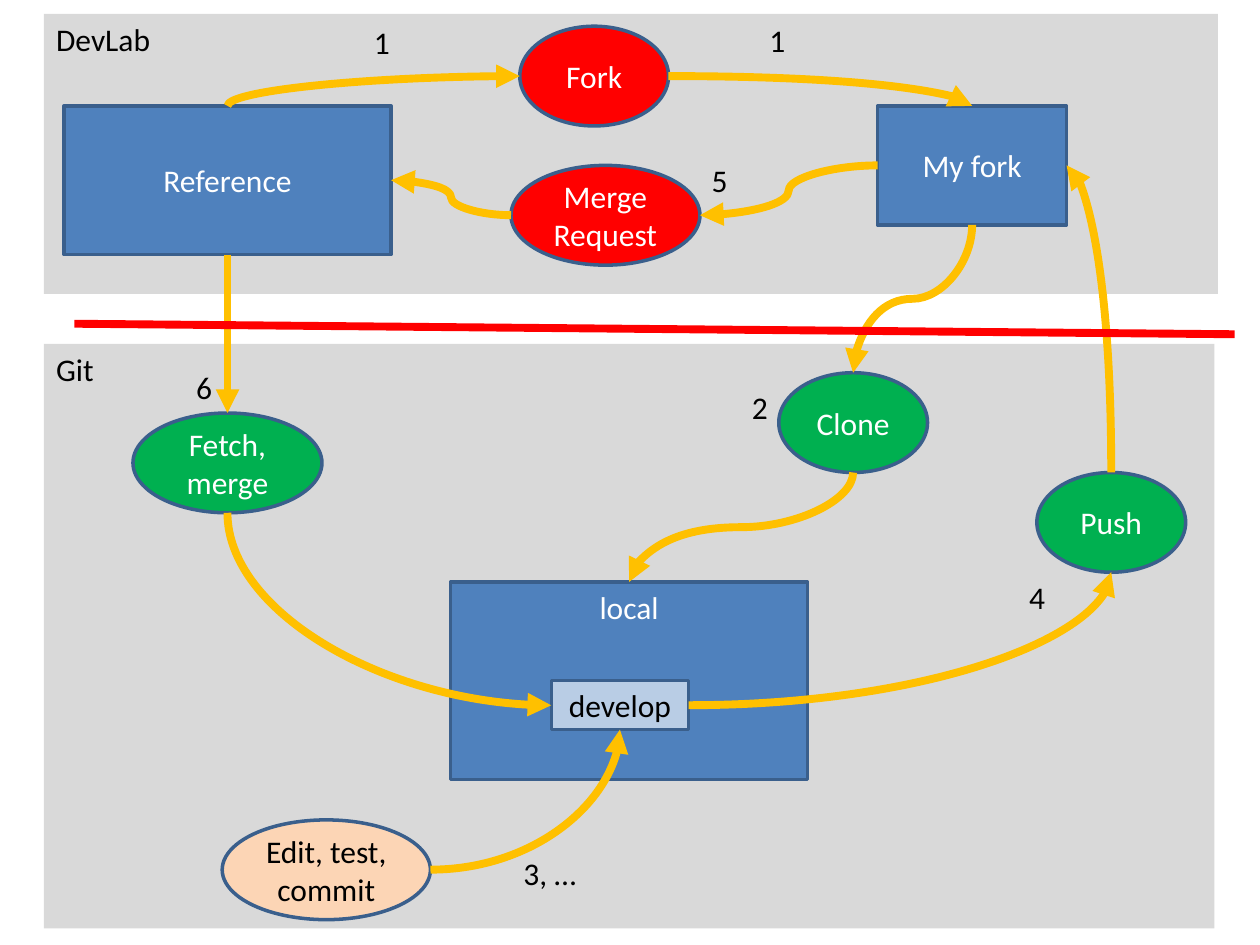
from lxml import etree
from pptx import Presentation
from pptx import util as u
from pptx.dml import color
from pptx.enum import shapes, text
from pptx.oxml import ns

RECT = shapes.MSO_SHAPE.RECTANGLE
OVAL = shapes.MSO_SHAPE.OVAL
MIDDLE, TOP = text.MSO_ANCHOR.MIDDLE, text.MSO_ANCHOR.TOP
CENTER, LEFT = text.PP_ALIGN.CENTER, text.PP_ALIGN.LEFT
BLUE, RED, GREEN = "4F81BD", "FF0000", "00B050"
PALE, PEACH, GRAY = "B9CDE5", "FCD5B5", "D9D9D9"
OUTLINE, ARROW = "3A5F8C", "FFC000"
BLACK, WHITE = "000000", "FFFFFF"
SIDES = {"top": (0.5, 0), "left": (0, 0.5), "bottom": (0.5, 1), "right": (1, 0.5)}
SITES = {"top": 0, "left": 1, "bottom": 2, "right": 3}


def paint(target, value):
    if hasattr(target, "solid"):
        target.solid()
        target = target.fore_color
    target.rgb = color.RGBColor.from_string(value)


def write(shape, words, ink, align, anchor):
    frame = shape.text_frame
    frame.text = words
    frame.vertical_anchor = anchor
    para = frame.paragraphs[0]
    para.alignment = align
    span = para.runs[0]
    span.font.size = u.Pt(18)
    span.font.name = "Calibri"
    paint(span.font.color, ink)


def add_block(page, kind, box, words, fill, ink=WHITE, align=CENTER, anchor=MIDDLE, outline=OUTLINE):
    shape = page.shapes.add_shape(kind, *[u.Pt(length) for length in box])
    shape.shadow.inherit = False
    paint(shape.fill, fill)
    if outline:
        paint(shape.line.color, outline)
        shape.line.width = u.Pt(2)
    else:
        shape.line.fill.background()
    write(shape, words, ink, align, anchor)
    return shape


def add_region(page, box, title, nodes, labels):
    left, top = box[:2]
    add_block(page, RECT, box, title, GRAY, BLACK, LEFT, TOP, None)
    placed = {}
    for words, kind, x, y, width, height, fill, ink, anchor in nodes:
        node_box = (left + x, top + y, width, height)
        placed[words] = add_block(page, kind, node_box, words, fill, ink, anchor=anchor)
    for words, x, y, width in labels:
        label = page.shapes.add_textbox(u.Pt(left + x), u.Pt(top + y), u.Pt(width), u.Pt(29))
        label.text_frame.word_wrap = False
        write(label, words, BLACK, LEFT, TOP)
    return placed


def hosting_region(page, box):
    nodes = [
        ("Reference", RECT, 11.5, 52.5, 187, 85, BLUE, WHITE, MIDDLE),
        ("My fork", RECT, 476.5, 52.5, 108, 68, BLUE, WHITE, MIDDLE),
        ("Fork", OVAL, 272, 7, 85, 57, RED, WHITE, MIDDLE),
        ("Merge Request", OVAL, 267, 86.5, 108, 57, RED, WHITE, MIDDLE),
    ]
    labels = [("1", 181.5, 1.5, 24), ("1", 407.5, 0.7, 24), ("5", 374.5, 80.5, 24)]
    return add_region(page, box, "DevLab", nodes, labels)


def git_region(page, box):
    nodes = [
        ("local", RECT, 232.5, 136, 204, 113, BLUE, WHITE, TOP),
        ("develop", RECT, 290, 192.5, 78.5, 28, PALE, BLACK, MIDDLE),
        ("Clone", OVAL, 420, 16.5, 85, 57, GREEN, WHITE, MIDDLE),
        ("Fetch, merge", OVAL, 51, 39.5, 108, 57, GREEN, WHITE, MIDDLE),
        ("Push", OVAL, 567.5, 73.5, 85, 57, GREEN, WHITE, MIDDLE),
        ("Edit, test, commit", OVAL, 102, 272, 119, 57, PEACH, BLACK, MIDDLE),
    ]
    labels = [("2", 397.5, 21.5, 24), ("4", 556, 130.5, 24),
              ("6", 80, 10, 24), ("3, …", 267, 288, 46)]
    return add_region(page, box, "Git", nodes, labels)


def style_line(line, value):
    paint(line.line.color, value)
    line.line.width = u.Pt(4.5)
    etree.SubElement(line._element.spPr, ns.qn("a:effectLst"))


def side_point(shape, side):
    across, down = SIDES[side]
    return shape.left + across * shape.width, shape.top + down * shape.height


def site(shape, side):
    return SITES[side] * (2 if shape.auto_shape_type == OVAL else 1)


def add_link(page, source, source_side, target, target_side):
    x1, y1 = side_point(source, source_side)
    x2, y2 = side_point(target, target_side)
    dx, dy = x2 - x1, y2 - y1
    starts_upright = source_side in ("top", "bottom")
    ends_upright = target_side in ("top", "bottom")
    turn = 0
    if starts_upright:
        turn = 90 if dy > 0 else 270
        dx, dy = abs(dy), -dx if dy > 0 else dx
    middle_x, middle_y = (x1 + x2) / 2, (y1 + y2) / 2
    ends = (middle_x - dx / 2, middle_y - dy / 2, middle_x + dx / 2, middle_y + dy / 2)
    link = page.shapes.add_connector(shapes.MSO_CONNECTOR.CURVE, *[round(end) for end in ends])
    link._connect_begin_to(source, site(source, source_side))
    link._connect_end_to(target, site(target, target_side))
    style_line(link, ARROW)
    properties = link._element.spPr
    if turn:
        properties.find(ns.qn("a:xfrm")).set("rot", str(turn * 60000))
    if starts_upright != ends_upright:
        properties.find(ns.qn("a:prstGeom")).set("prst", "curvedConnector2")
    etree.SubElement(properties.find(ns.qn("a:ln")), ns.qn("a:tailEnd"), type="triangle")


def workflow_slide(page):
    nodes = hosting_region(page, (25, 8, 671, 160))
    nodes.update(git_region(page, (25, 196.5, 669, 334)))
    links = [
        ("Reference", "top", "Fork", "left"),
        ("Fork", "right", "My fork", "top"),
        ("My fork", "left", "Merge Request", "right"),
        ("Merge Request", "left", "Reference", "right"),
        ("My fork", "bottom", "Clone", "top"),
        ("Clone", "bottom", "local", "top"),
        ("Reference", "bottom", "Fetch, merge", "top"),
        ("Fetch, merge", "bottom", "develop", "left"),
        ("develop", "right", "Push", "bottom"),
        ("Push", "top", "My fork", "right"),
        ("Edit, test, commit", "right", "develop", "bottom"),
    ]
    for source, source_side, target, target_side in links:
        add_link(page, nodes[source], source_side, nodes[target], target_side)
    ends = [u.Pt(length) for length in (42.5, 185, 705.5, 191)]
    divider = page.shapes.add_connector(shapes.MSO_CONNECTOR.STRAIGHT, *ends)
    style_line(divider, RED)


deck = Presentation()
deck.slide_width, deck.slide_height = u.Pt(720), u.Pt(540)
workflow_slide(deck.slides.add_slide(deck.slide_layouts[6]))
deck.save("out.pptx")
